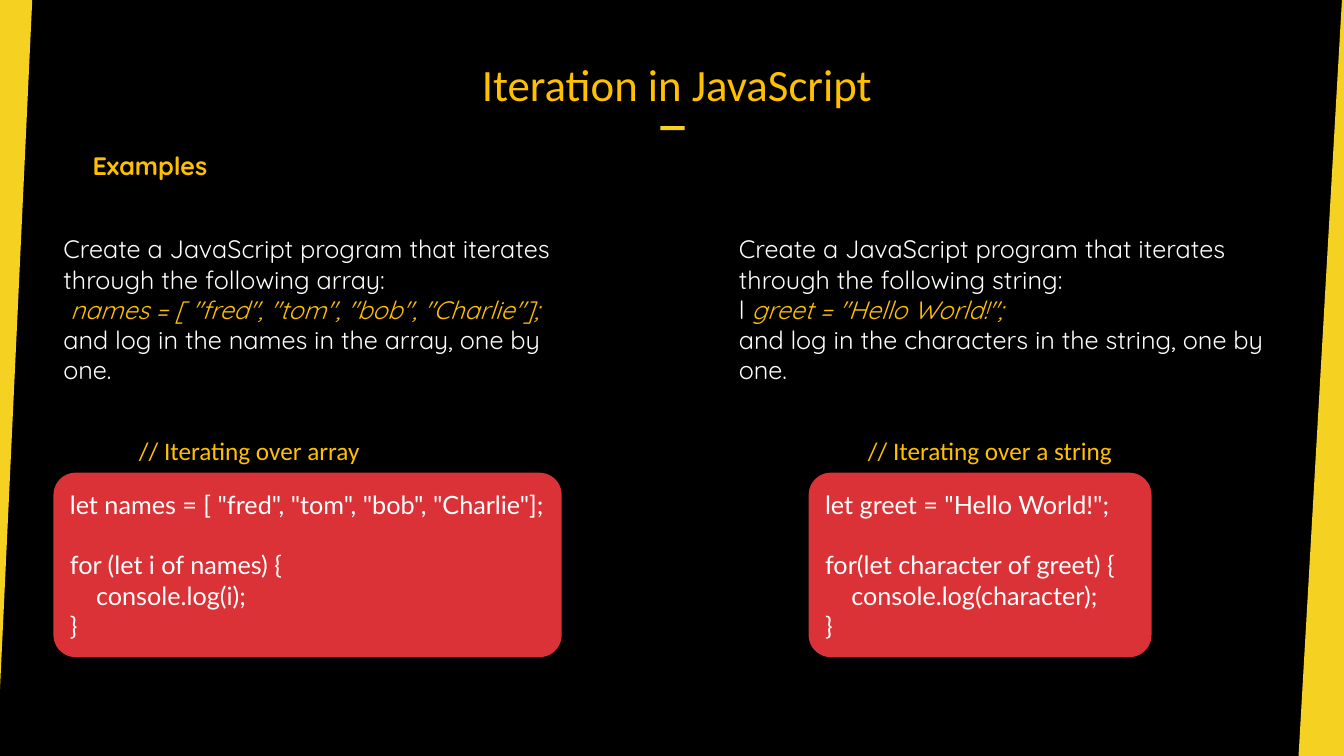
from pptx import Presentation
from pptx.dml.color import RGBColor
from pptx.enum.shapes import MSO_SHAPE as SHAPE
from pptx.enum.text import MSO_ANCHOR as ANCHOR, MSO_AUTO_SIZE as AUTO, PP_ALIGN as ALIGN
from pptx.util import Inches, Pt

WIDTH, HEIGHT = Inches(13.33), Inches(7.5)
YELLOW, GOLD, RED, WHITE, BLACK = "F5D121", "FFC000", "DA3236", "FFFFFF", "000000"
TASK_TOP, TASK_HEIGHT = 30.27, 21.6
CAPTION_TOP, LINE_HEIGHT = 56.93, 5.33
CODE_TOP, CODE_HEIGHT = 62.53, 24.4

EXAMPLES = [
    dict(
        task=(3.98, 39.16),
        task_text=[
            ["Create a JavaScript program that iterates through the following array:"],
            [" ", ('names = [ "fred", "tom", "bob", "Charlie"]; ', True),
             "and log in the names in the array, one by one."],
        ],
        caption=(9.6, 18.15), caption_text="// Iterating over array",
        code=(3.98, 37.81),
        code_text=['let names = [ "fred", "tom", "bob", "Charlie"];',
                   "for (let i of names) {", "console.log(i);", "}"],
    ),
    dict(
        task=(54.24, 44.04),
        task_text=[
            ["Create a JavaScript program that iterates through the following string:"],
            ["l ", ('greet = "Hello World!";', True)],
            ["and log in the characters in the string, one by one."],
        ],
        caption=(63.84, 19.88), caption_text="// Iterating over a string",
        code=(60.17, 25.51),
        code_text=['let greet = "Hello World!";',
                   "for(let character of greet) {", "console.log(character);", "}"],
    ),
]


def color(hex_text):
    return RGBColor.from_string(hex_text)


def point(x, y):
    """Turn percentages of the slide's width and height into lengths."""
    return round(WIDTH * x / 100), round(HEIGHT * y / 100)


def paint(sp, fill):
    sp.fill.solid()
    sp.fill.fore_color.rgb = color(fill)
    sp.line.fill.background()
    sp.shadow.inherit = False


def add_run(p, text, font="Calibri", size=18, ink=GOLD, bold=False, italic=False):
    r = p.add_run()
    r.text = text
    r.font.name, r.font.size = font, Pt(size)
    r.font.bold, r.font.italic = bold, italic
    r.font.color.rgb = color(ink)


def add_paragraph(tf, first):
    return tf.paragraphs[0] if first else tf.add_paragraph()


def add_band(slide, corners):
    start, *rest = [point(x, y) for x, y in corners]
    builder = slide.shapes.build_freeform(*start, scale=1.0)
    builder.add_line_segments(rest, close=True)
    paint(builder.convert_to_shape(), YELLOW)


def add_block(slide, kind, x, y, w, h, fill):
    sp = slide.shapes.add_shape(kind, *point(x, y), *point(w, h))
    paint(sp, fill)
    return sp


def add_text_frame(slide, x, y, w, h, wrap=True, grow=True):
    tf = slide.shapes.add_textbox(*point(x, y), *point(w, h)).text_frame
    tf.word_wrap = wrap
    tf.auto_size = AUTO.SHAPE_TO_FIT_TEXT if grow else AUTO.NONE
    return tf


def add_title(slide, text):
    tf = add_text_frame(slide, 29.4, 4.67, 41.95, 10, grow=False)
    tf.vertical_anchor, tf.margin_bottom = ANCHOR.BOTTOM, 0
    p = tf.paragraphs[0]
    p.alignment = ALIGN.CENTER
    add_run(p, text, size=32)
    add_block(slide, SHAPE.RECTANGLE, 49.14, 16.67, 1.8, 0.53, YELLOW)


def add_task(slide, x, w, paragraphs):
    """Plain strings are white; (text, True) pairs are gold italic."""
    tf = add_text_frame(slide, x, TASK_TOP, w, TASK_HEIGHT)
    for i, parts in enumerate(paragraphs):
        p = add_paragraph(tf, i == 0)
        for part in parts:
            text, code = part if isinstance(part, tuple) else (part, False)
            add_run(p, text, font="Quicksand", ink=GOLD if code else WHITE, italic=code)


def add_code(slide, x, w, lines):
    """Set a declaration apart from its loop, and indent the loop's body."""
    sp = add_block(slide, SHAPE.ROUNDED_RECTANGLE, x, CODE_TOP, w, CODE_HEIGHT, RED)
    sp.adjustments[0] = 0.12
    tf = sp.text_frame
    tf.word_wrap, tf.vertical_anchor = True, ANCHOR.MIDDLE
    for i, line in enumerate(lines):
        p = add_paragraph(tf, i == 0)
        p.alignment = ALIGN.LEFT
        if i == 1:
            p.space_before = Pt(21.6)
        elif i == 2:
            p._p.get_or_add_pPr().set("marL", str(Inches(0.26)))
        add_run(p, line, font="Lato", ink=WHITE)


def add_example(slide, task, task_text, caption, caption_text, code, code_text):
    add_task(slide, *task, task_text)
    add_code(slide, *code, code_text)
    x, w = caption
    tf = add_text_frame(slide, x, CAPTION_TOP, w, LINE_HEIGHT, wrap=False)
    add_run(tf.paragraphs[0], caption_text)


def main():
    prs = Presentation()
    prs.slide_width, prs.slide_height = WIDTH, HEIGHT
    slide = prs.slides.add_slide(prs.slide_layouts[6])
    slide.background.fill.solid()
    slide.background.fill.fore_color.rgb = color(BLACK)

    add_band(slide, [(-0.23, 100), (-0.38, 100), (-0.38, 0), (2.4, 0)])
    add_band(slide, [(99.85, 0), (100, 0), (100, 100), (96.62, 100)])
    add_title(slide, "Iteration in JavaScript")
    heading = add_text_frame(slide, 6.15, 19.2, 70, LINE_HEIGHT)
    add_run(heading.paragraphs[0], "Examples", font="Quicksand", bold=True)
    for example in EXAMPLES:
        add_example(slide, **example)
    prs.save("out.pptx")


if __name__ == "__main__":
    main()
